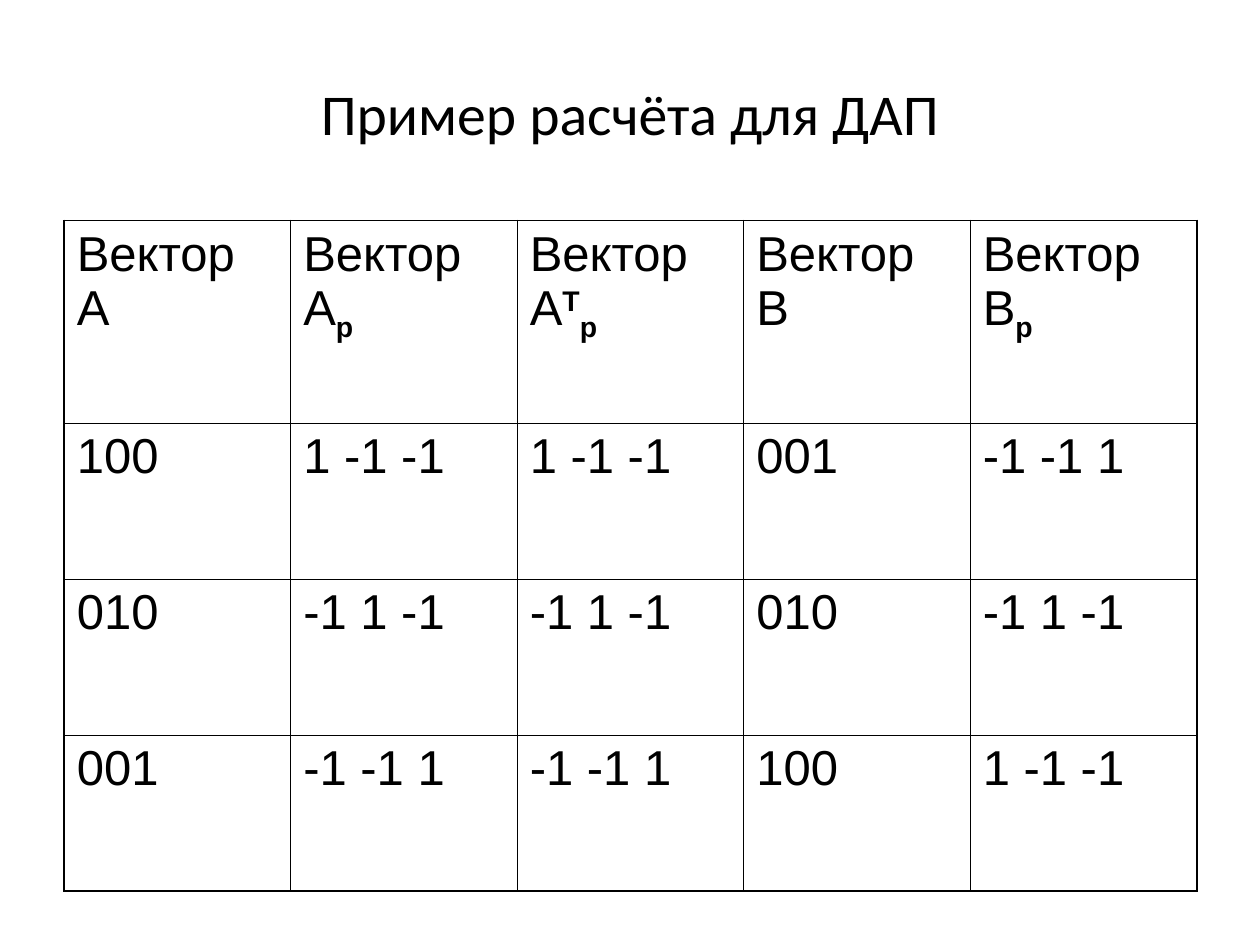
from lxml.etree import SubElement
from pptx import Presentation
from pptx.dml.color import RGBColor
from pptx.enum.text import MSO_ANCHOR, PP_ALIGN
from pptx.oxml.ns import qn
from pptx.util import Inches, Pt

COLORS = {"ink": "000000", "paper": "FFFFFF"}
THIN, THICK = 0.45, 1.08

# Each header is a list of (text, baseline shift in percent)
HEADERS = [
    [("Вектор А", 0)],
    [("Вектор А", 0), ("p", -25)],
    [("Вектор А", 0), ("T", 30), ("p", -25)],
    [("Вектор B", 0)],
    [("Вектор B", 0), ("p", -25)],
]
VECTORS = [
    ["100", "1 -1 -1", "1 -1 -1", "001", "-1 -1 1"],
    ["010", "-1 1 -1", "-1 1 -1", "010", "-1 1 -1"],
    ["001", "-1 -1 1", "-1 -1 1", "100", "1 -1 -1"],
]


def add_text(paragraph, text, size=28, font="Arial", color="ink", baseline=0):
    """Add a run; shifted runs (indices) are bold."""
    run = paragraph.add_run()
    run.text = text
    run.font.size = Pt(size)
    run.font.name = font
    run.font.bold = baseline != 0
    run.font.color.rgb = RGBColor.from_string(COLORS[color])
    if baseline:
        run.font._element.set("baseline", str(baseline * 1000))


def set_borders(cell, widths):
    properties = cell._tc.get_or_add_tcPr()
    for side in ("L", "R", "T", "B"):
        line = SubElement(properties, qn(f"a:ln{side}"), w=str(int(Pt(widths[side]))))
        fill = SubElement(line, qn("a:solidFill"))
        SubElement(fill, qn("a:srgbClr"), val=COLORS["ink"])


def place_title(slide, left, top, width, height):
    title = slide.shapes.title
    title.left, title.top, title.width, title.height = left, top, width, height
    frame = title.text_frame
    frame.vertical_anchor = MSO_ANCHOR.MIDDLE
    paragraph = frame.paragraphs[0]
    paragraph.alignment = PP_ALIGN.CENTER
    paragraph.line_spacing = 0.9
    add_text(paragraph, "Пример расчёта для ДАП", size=33, font="Calibri")


def place_table(slide, left, top, width, height):
    rows = [HEADERS] + [[[(value, 0)] for value in row] for row in VECTORS]
    last_row, last_column = len(rows) - 1, len(HEADERS) - 1
    table = slide.shapes.add_table(
        len(rows), len(HEADERS), left, top, width, height).table
    table.first_row = table.horz_banding = False

    # Equal columns; the header row is taller than the equal rows below it
    for column in table.columns:
        column.width = int(width / len(HEADERS))
    header_height = Inches(1.61)
    for index, row in enumerate(table.rows):
        row.height = int((height - header_height) / last_row) if index else header_height

    for row_index, row in enumerate(rows):
        for column_index, pieces in enumerate(row):
            cell = table.cell(row_index, column_index)
            # Thick outer frame, thin inner grid
            set_borders(cell, {
                "L": THICK if column_index == 0 else THIN,
                "R": THICK if column_index == last_column else THIN,
                "T": THICK if row_index == 0 else THIN,
                "B": THICK if row_index == last_row else THIN,
            })
            cell.fill.background()
            for text, baseline in pieces:
                add_text(cell.text_frame.paragraphs[0], text, baseline=baseline)


def main():
    presentation = Presentation()
    presentation.slide_width, presentation.slide_height = Inches(10), Inches(7.5)
    slide = presentation.slides.add_slide(presentation.slide_layouts[5])
    background = slide.background.fill
    background.solid()
    background.fore_color.rgb = RGBColor.from_string(COLORS["paper"])
    place_title(slide, Inches(0.5), Inches(0.3), Inches(9), Inches(1.25))
    place_table(slide, Inches(0.51), Inches(1.75), Inches(8.99), Inches(5.32))
    presentation.save("out.pptx")


if __name__ == "__main__":
    main()
